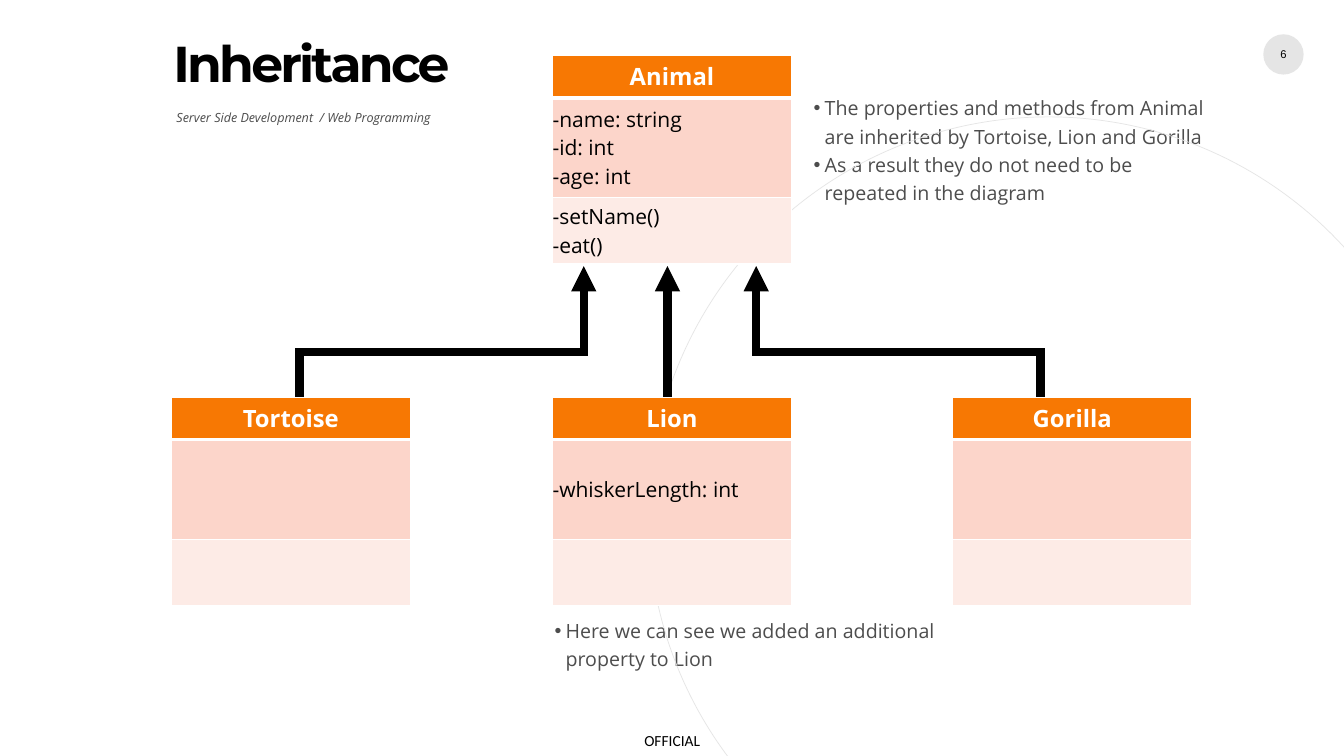
import pptx
import pptx.dml.color
import pptx.enum.shapes
import pptx.enum.text
import pptx.oxml
import pptx.oxml.ns
import pptx.util
from lxml import etree

Inches = pptx.util.Inches
Pt = pptx.util.Pt
RGBColor = pptx.dml.color.RGBColor
MSO_SHAPE = pptx.enum.shapes.MSO_SHAPE
MSO_CONNECTOR = pptx.enum.shapes.MSO_CONNECTOR
PP_ALIGN = pptx.enum.text.PP_ALIGN
MSO_ANCHOR = pptx.enum.text.MSO_ANCHOR
MSO_AUTO_SIZE = pptx.enum.text.MSO_AUTO_SIZE
qn = pptx.oxml.ns.qn

BLACK = RGBColor(0x00, 0x00, 0x00)
WHITE = RGBColor(0xFF, 0xFF, 0xFF)
GREY = RGBColor(0x4D, 0x4D, 0x4D)
PALE_GREY = RGBColor(0xE5, 0xE5, 0xE5)
ORANGE = RGBColor(0xF7, 0x78, 0x03)
PINK = RGBColor(0xFC, 0xD5, 0xCA)
PALE_PINK = RGBColor(0xFD, 0xEB, 0xE6)


class DiagramPage:
    body_font = "Open Sans"
    class_width = 2.37
    row_heights = (0.42, 0.99, 0.66)
    row_fills = (ORANGE, PINK, PALE_PINK)

    def __init__(self, deck):
        self.page = deck.slides.add_slide(deck.slide_layouts[4])
        self.shapes = self.page.shapes

    def add_text(self, para, text, size, color, font=body_font, bold=False, italic=False):
        for number, line in enumerate(text.split("\n")):
            if number:
                para.add_line_break()
            span = para.add_run()
            span.text = line
            span.font.name = font
            span.font.size = Pt(size)
            span.font.bold = bold
            span.font.italic = italic
            span.font.color.rgb = color
        return span

    def prepare(self, box, anchor=MSO_ANCHOR.TOP, wrap=True):
        frame = box.text_frame
        frame.margin_left = frame.margin_right = 0
        frame.margin_top = frame.margin_bottom = 0
        frame.word_wrap = wrap
        frame.auto_size = MSO_AUTO_SIZE.NONE
        frame.vertical_anchor = anchor
        return frame

    def placeholder(self, index, left, top, width, height):
        box = self.page.placeholders[index]
        box.left, box.top = Inches(left), Inches(top)
        box.width, box.height = Inches(width), Inches(height)
        return self.prepare(box)

    def title(self, text, *place):
        para = self.placeholder(0, *place).paragraphs[0]
        para.alignment = PP_ALIGN.LEFT
        para.line_spacing = 0.75
        span = self.add_text(para, text, 36, BLACK, "Montserrat", bold=True)
        span._r.get_or_add_rPr().set("spc", "-200")

    def subtitle(self, text, *place):
        para = self.placeholder(1, *place).paragraphs[0]
        properties = para._p.get_or_add_pPr()
        properties.set("marL", "0")
        properties.set("indent", "0")
        etree.SubElement(properties, qn("a:buNone"))
        para.space_before = Pt(0)
        self.add_text(para, text, 9, GREY, italic=True)

    def bullets(self, index, items, *place):
        frame = self.placeholder(index, *place)
        for number, item in enumerate(items):
            para = frame.add_paragraph() if number else frame.paragraphs[0]
            properties = para._p.get_or_add_pPr()
            properties.set("marL", str(Inches(0.11)))
            properties.set("indent", str(Inches(-0.11)))
            etree.SubElement(properties, qn("a:buChar"), char="•")
            para.line_spacing = 1.2
            para.space_before = Pt(0)
            self.add_text(para, item, 14, GREY)

    def label(self, text, size, font, left, top, width, height,
              align=PP_ALIGN.LEFT, anchor=MSO_ANCHOR.TOP, wrap=True):
        box = self.shapes.add_textbox(Inches(left), Inches(top), Inches(width), Inches(height))
        para = self.prepare(box, anchor, wrap).paragraphs[0]
        para.alignment = align
        self.add_text(para, text, size, BLACK, font)

    def circle(self, left, top, size, filled):
        disc = self.shapes.add_shape(
            MSO_SHAPE.OVAL, Inches(left), Inches(top), Inches(size), Inches(size))
        disc.shadow.inherit = False
        if filled:
            disc.fill.solid()
            disc.fill.fore_color.rgb = PALE_GREY
            disc.line.fill.background()
        else:
            disc.fill.background()
            disc.line.color.rgb = PALE_GREY
            disc.line.width = Pt(0.5)

    def line(self, start_x, start_y, end_x, end_y, arrow=False):
        link = self.shapes.add_connector(
            MSO_CONNECTOR.STRAIGHT,
            Inches(start_x), Inches(start_y), Inches(end_x), Inches(end_y))
        link.line.color.rgb = BLACK
        link.line.width = Pt(6)
        if arrow:
            etree.SubElement(link.line._get_or_add_ln(), qn("a:tailEnd"), type="triangle")
        etree.SubElement(link._element.spPr, qn("a:effectLst"))

    def borders(self, cell, top, bottom):
        properties = cell._tc.get_or_add_tcPr()
        sides = (("a:lnL", 1), ("a:lnR", 1), ("a:lnT", top), ("a:lnB", bottom))
        for position, (side, width) in enumerate(sides):
            edge = etree.Element(qn(side), w=str(Pt(width)))
            paint = etree.SubElement(edge, qn("a:solidFill"))
            etree.SubElement(paint, qn("a:srgbClr"), val=str(WHITE))
            properties.insert(position, edge)

    def class_table(self, left, top, name, properties="", methods=""):
        table = self.shapes.add_table(
            3, 1, Inches(left), Inches(top),
            Inches(self.class_width), Inches(sum(self.row_heights))).table
        table.horz_banding = False
        for row, text in enumerate((name, properties, methods)):
            table.rows[row].height = Inches(self.row_heights[row])
            cell = table.cell(row, 0)
            cell.margin_left = cell.margin_right = 0
            cell.margin_top = cell.margin_bottom = 0
            cell.vertical_anchor = MSO_ANCHOR.MIDDLE
            cell.fill.solid()
            cell.fill.fore_color.rgb = self.row_fills[row]
            self.borders(cell, 3 if row == 1 else 1, 3 if row == 0 else 1)
            para = cell.text_frame.paragraphs[0]
            if row == 0:
                para.alignment = PP_ALIGN.CENTER
                self.add_text(para, text, 17, WHITE, bold=True)
            elif text:
                self.add_text(para, text, 15, BLACK)

    def remove_empty_placeholders(self):
        for box in list(self.page.placeholders):
            if not box.text_frame.text:
                box.element.getparent().remove(box.element)


def main():
    deck = pptx.Presentation()
    deck.slide_width = Inches(13.33)
    deck.slide_height = Inches(7.5)
    diagram = DiagramPage(deck)

    diagram.circle(6.43, 1.16, 7.94, filled=False)
    diagram.circle(12.53, 0.34, 0.4, filled=True)
    diagram.label("6", 8, "Arial", 12.66, 0.46, 0.14, 0.15,
                  PP_ALIGN.CENTER, MSO_ANCHOR.MIDDLE, wrap=False)
    diagram.label("OFFICIAL", 11, "Calibri", 6.39, 7.25, 0.59, 0.18)

    diagram.title("Inheritance", 1.72, 0.46, 5.54, 0.81)
    diagram.subtitle("Server Side Development  / Web Programming", 1.75, 1.09, 3.29, 1)
    diagram.bullets(2, (
        "The properties and methods from Animal are inherited by Tortoise, Lion and Gorilla",
        "As a result they do not need to be repeated in the diagram",
    ), 8.07, 0.91, 3.99, 1.21)
    diagram.bullets(4, ("Here we can see we added an additional property to Lion",),
                    5.5, 6.09, 3.99, 0.58)

    arrow_tip = 2.64
    diagram.line(6.62, 4.41, 6.62, arrow_tip, arrow=True)
    for child_x, parent_x, overlap in ((2.97, 5.79, 0.04), (10.32, 7.5, -0.04)):
        diagram.line(parent_x, 3.46, parent_x, arrow_tip, arrow=True)
        diagram.line(child_x - overlap, 3.49, parent_x + overlap, 3.49)
        diagram.line(child_x, 4.45, child_x, 3.45)

    diagram.class_table(5.48, 0.55, "Animal",
                        "-name: string\n-id: int\n-age: int", "-setName()\n-eat()")
    for left, name, properties in (
            (1.7, "Tortoise", ""), (5.48, "Lion", "-whiskerLength: int"), (9.45, "Gorilla", "")):
        diagram.class_table(left, 3.94, name, properties)

    diagram.remove_empty_placeholders()
    deck.save("out.pptx")


if __name__ == "__main__":
    main()
